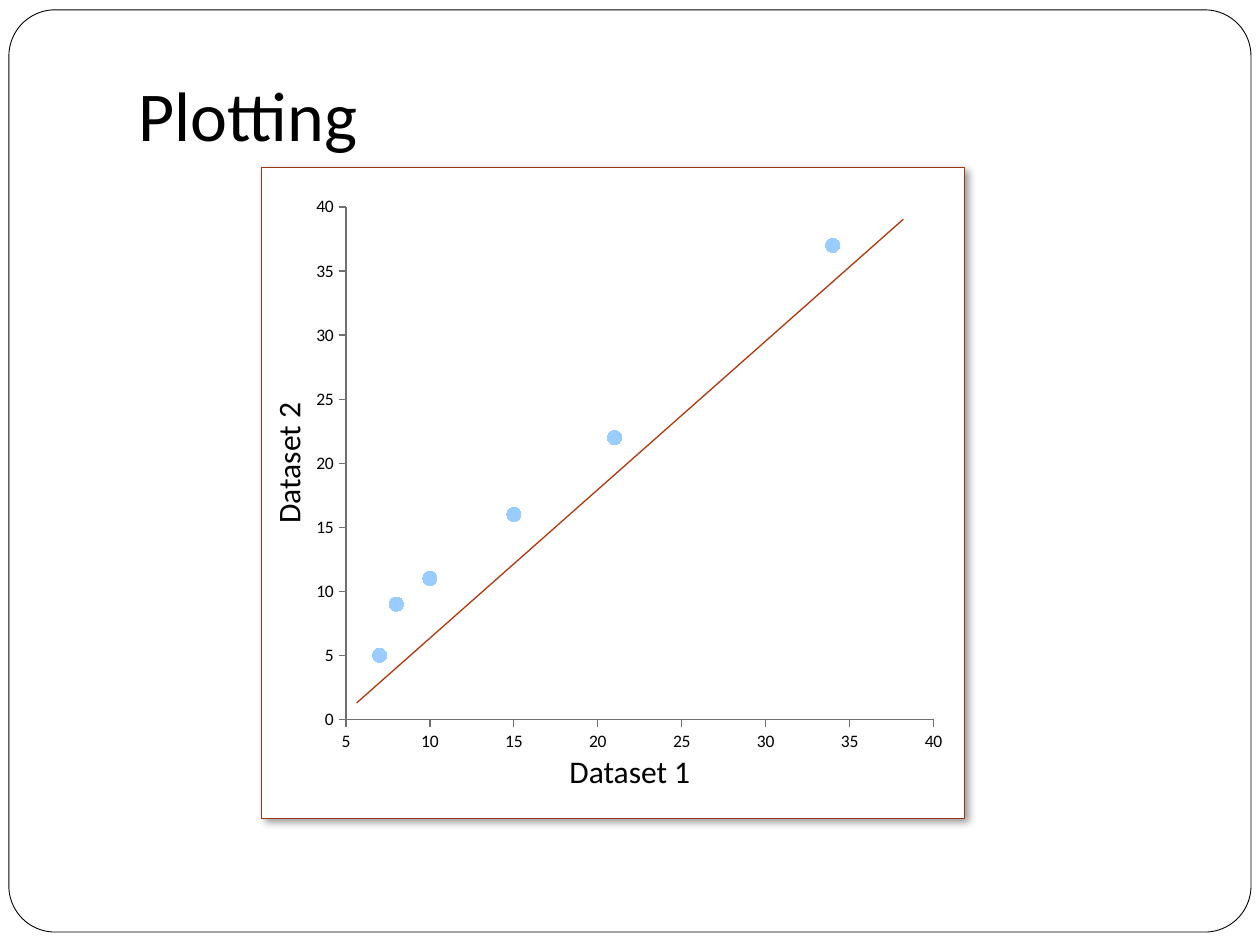
from lxml import etree
from pptx import Presentation
from pptx.chart.data import XyChartData
from pptx.dml.color import RGBColor
from pptx.enum.chart import XL_CHART_TYPE, XL_MARKER_STYLE, XL_TICK_MARK
from pptx.enum.shapes import MSO_CONNECTOR, MSO_SHAPE
from pptx.enum.text import MSO_ANCHOR, MSO_AUTO_SIZE, PP_ALIGN
from pptx.oxml import parse_xml
from pptx.oxml.ns import nsdecls, qn
from pptx.util import Cm, Pt

SCATTER = XL_CHART_TYPE.XY_SCATTER
CIRCLE = XL_MARKER_STYLE.CIRCLE
TICK_OUTSIDE = XL_TICK_MARK.OUTSIDE
STRAIGHT = MSO_CONNECTOR.STRAIGHT
RECTANGLE = MSO_SHAPE.RECTANGLE
ROUNDED_RECTANGLE = MSO_SHAPE.ROUNDED_RECTANGLE
BOTTOM = MSO_ANCHOR.BOTTOM
LEFT = PP_ALIGN.LEFT
FIT_SHAPE = MSO_AUTO_SIZE.SHAPE_TO_FIT_TEXT

BLACK = RGBColor(0, 0, 0)
WHITE = RGBColor(255, 255, 255)
GRAY = RGBColor(0x70, 0x70, 0x70)
RUST = RGBColor(0x9C, 0x35, 0x11)
TREND = RGBColor(0xB1, 0x36, 0x0B)
SKY = RGBColor(0x99, 0xCC, 0xFF)
FONT = "Calibri"

TITLE = "Plotting"
POINTS = [(7, 5), (8, 9), (10, 11), (15, 16), (21, 22), (34, 37)]
AXIS_LABELS = [
    ("Dataset 1", (11.23, 15.04), 0),
    ("Dataset 2", (4.32, 8.81), 270),
]
LABEL_SIZE = (2.97, 1.02)
FRAME_BOX = (0.18, 0.2, 25.04, 18.59)
TITLE_BOX = (2.54, 0.2, 21.59, 3.18)
PANEL_BOX = (5.28, 3.38, 14.17, 13.13)
CHART_BOX = (6.12, 3.71, 13.16, 11.61)
TREND_ENDS = (7.19, 14.17, 18.21, 4.42)
PLOT_LAYOUT = {"x": 0.065, "y": 0.04, "w": 0.9, "h": 0.89}


def lengths(values):
    return [Cm(value) for value in values]


def style_font(font, size):
    font.name = FONT
    font.size = Pt(size)
    font.color.rgb = BLACK


def write(text_frame, text, size):
    paragraph = text_frame.paragraphs[0]
    paragraph.alignment = LEFT
    run = paragraph.add_run()
    run.text = text
    style_font(run.font, size)


def add_panel(slide, kind, box, line_color):
    shape = slide.shapes.add_shape(kind, *lengths(box))
    shape.shadow.inherit = False
    shape.fill.solid()
    shape.fill.fore_color.rgb = WHITE
    shape.line.color.rgb = line_color
    shape.line.width = Pt(0.5)
    return shape


def add_shadow(shape):
    effects = shape._element.spPr.find(qn("a:effectLst"))
    effects.append(parse_xml(
        f'<a:outerShdw {nsdecls("a")} blurRad="{Pt(4)}" dist="{Pt(3)}" '
        'dir="2700000" algn="tl" rotWithShape="0"><a:srgbClr val="000000">'
        '<a:alpha val="40000"/></a:srgbClr></a:outerShdw>'))


def add_title(slide):
    title = slide.shapes.title
    slide.shapes._spTree.append(title._element)
    title.left, title.top, title.width, title.height = lengths(TITLE_BOX)
    frame = title.text_frame
    frame.vertical_anchor = BOTTOM
    frame.margin_bottom = Cm(0.25)
    write(frame, TITLE, 40)


def fix_plot_area(chart):
    plot_area = chart._chartSpace.chart.plotArea
    for old in plot_area.findall(qn("c:layout")):
        plot_area.remove(old)
    layout = parse_xml(f'<c:layout {nsdecls("c")}><c:manualLayout/></c:layout>')
    settings = {"layoutTarget": "inner", "xMode": "edge", "yMode": "edge", **PLOT_LAYOUT}
    for name, value in settings.items():
        etree.SubElement(layout[0], qn(f"c:{name}")).set("val", str(value))
    plot_area.insert(0, layout)


def add_scatter(slide):
    data = XyChartData()
    points = data.add_series("Series 1")
    for x, y in POINTS:
        points.add_data_point(x, y)
    chart = slide.shapes.add_chart(SCATTER, *lengths(CHART_BOX), data).chart
    chart.has_legend = False
    chart.has_title = False
    style_font(chart.font, 10)
    chart.plots[0].vary_by_categories = False
    for axis, minimum in ((chart.category_axis, 5), (chart.value_axis, 0)):
        axis.minimum_scale = minimum
        axis.maximum_scale = 40
        axis.major_unit = 5
        axis.has_major_gridlines = False
        axis.major_tick_mark = TICK_OUTSIDE
        axis.format.line.color.rgb = GRAY
    series = chart.plots[0].series[0]
    series.smooth = False
    series.format.line.fill.background()
    series.marker.style = CIRCLE
    series.marker.size = 8
    series.marker.format.fill.solid()
    series.marker.format.fill.fore_color.rgb = SKY
    series.marker.format.line.fill.background()
    fix_plot_area(chart)


def add_trend(slide):
    trend = slide.shapes.add_connector(STRAIGHT, *lengths(TREND_ENDS))
    trend.line.color.rgb = TREND
    trend.line.width = Pt(0.75)
    etree.SubElement(trend._element.spPr, qn("a:effectLst"))


def add_axis_label(slide, text, position, rotation):
    label = slide.shapes.add_textbox(*lengths(position + LABEL_SIZE))
    label.rotation = rotation
    label.text_frame.word_wrap = False
    label.text_frame.auto_size = FIT_SHAPE
    write(label.text_frame, text, 18)


def main():
    presentation = Presentation()
    presentation.slide_width = Cm(25.4)
    presentation.slide_height = Cm(19.05)
    slide = presentation.slides.add_slide(presentation.slide_layouts[5])
    frame = add_panel(slide, ROUNDED_RECTANGLE, FRAME_BOX, BLACK)
    frame.adjustments[0] = 0.05
    add_title(slide)
    add_shadow(add_panel(slide, RECTANGLE, PANEL_BOX, RUST))
    add_scatter(slide)
    add_trend(slide)
    for text, position, rotation in AXIS_LABELS:
        add_axis_label(slide, text, position, rotation)
    presentation.save("out.pptx")


if __name__ == "__main__":
    main()
